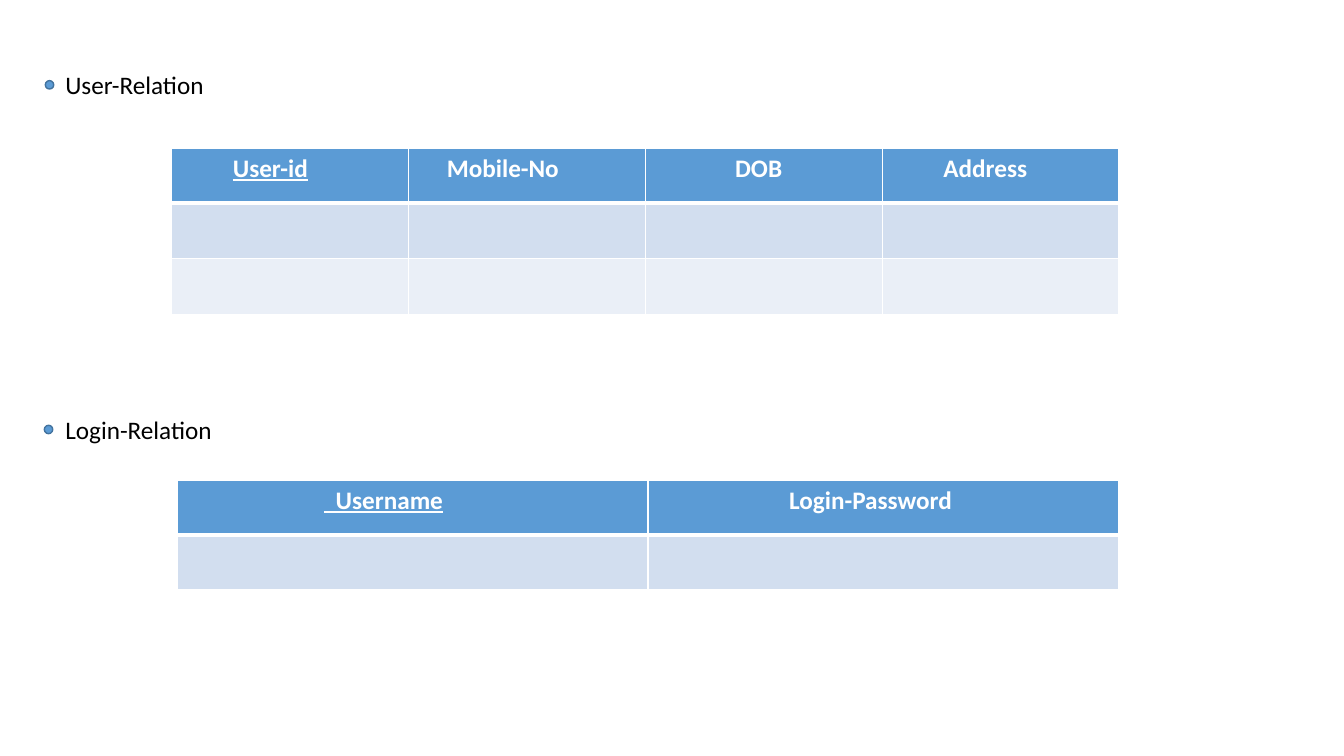
from dataclasses import dataclass

from lxml.etree import SubElement
from pptx import Presentation
from pptx.dml.color import RGBColor as RGB
from pptx.enum.shapes import MSO_SHAPE as SHAPE
from pptx.oxml.ns import qn
from pptx.util import Pt


@dataclass(frozen=True)
class Theme:
    """Colours, font and sizes of the slide."""
    font: str = "Calibri"
    size: int = 18
    ink: str = "000000"
    white: str = "FFFFFF"
    head: str = "5B9BD5"
    edge: str = "43739E"
    bands: tuple = ("D2DEEF", "EAEFF7")
    thin: int = 1
    thick: int = 3


THEME = Theme()


def style(para, color, bold=False):
    """Set the font of a paragraph."""
    font = para.font
    font.name, font.size, font.bold = THEME.font, Pt(THEME.size), bold
    font.color.rgb = RGB.from_string(color)


def paint(fill, color):
    """Fill with one solid colour."""
    fill.solid()
    fill.fore_color.rgb = RGB.from_string(color)


def border(cell, top, base):
    """Draw white cell borders of the given top and bottom widths."""
    props = cell._tc.get_or_add_tcPr()
    sides = {"L": THEME.thin, "R": THEME.thin, "T": top, "B": base}
    for side, width in sides.items():
        line = SubElement(props, qn(f"a:ln{side}"), w=str(Pt(width)))
        fill = SubElement(line, qn("a:solidFill"))
        SubElement(fill, qn("a:srgbClr"), val=THEME.white)


def dot(slide, left, top):
    """Add a small round marker."""
    mark = slide.shapes.add_shape(SHAPE.OVAL, Pt(left), Pt(top), Pt(6), Pt(6))
    mark.shadow.inherit = False
    paint(mark.fill, THEME.head)
    mark.line.color.rgb = RGB.from_string(THEME.edge)
    mark.line.width = Pt(THEME.thin)


def label(slide, text, top):
    """Add the name of a relation."""
    box = slide.shapes.add_textbox(Pt(39.6), Pt(top), Pt(161), Pt(29))
    frame = box.text_frame
    frame.word_wrap = True
    frame.text = text
    style(frame.paragraphs[0], THEME.ink)


def grid(slide, left, top, width, rows, heads):
    """Add a table whose first heading is an underlined key."""
    count = len(heads)
    table = slide.shapes.add_table(
        len(rows), count, Pt(left), Pt(top), Pt(width * count), Pt(sum(rows))
    ).table
    for col in table.columns:
        col.width = Pt(width)
    for i, high in enumerate(rows):
        table.rows[i].height = Pt(high)
        for j in range(count):
            cell = table.cell(i, j)
            border(cell, THEME.thick if i == 1 else THEME.thin,
                   THEME.thick if i == 0 else THEME.thin)
            paint(cell.fill, THEME.bands[(i - 1) % 2] if i else THEME.head)
    for j, (text, inset) in enumerate(heads):
        cell = table.cell(0, j)
        cell.text, cell.margin_left = text, Pt(inset)
        para = cell.text_frame.paragraphs[0]
        style(para, THEME.white, bold=True)
        para.font.underline = j == 0


def main():
    """Build the slide with both relations."""
    deck = Presentation()
    deck.slide_width, deck.slide_height = Pt(960), Pt(540)
    slide = deck.slides.add_slide(deck.slide_layouts[6])
    label(slide, "User-Relation", 46)
    dot(slide, 32.4, 57.6)
    grid(slide, 122.5, 105.8, 169.2, (39, 40, 40),
         (("User-id", 43.8), ("Mobile-No", 27.5),
          ("DOB", 64.2), ("Address", 43.8)))
    label(slide, "Login-Relation", 292.3)
    dot(slide, 31.7, 303.8)
    grid(slide, 126.9, 343, 336, (39, 39),
         (("  Username", 104.8), ("Login-Password", 100.8)))
    deck.save("out.pptx")


main()
